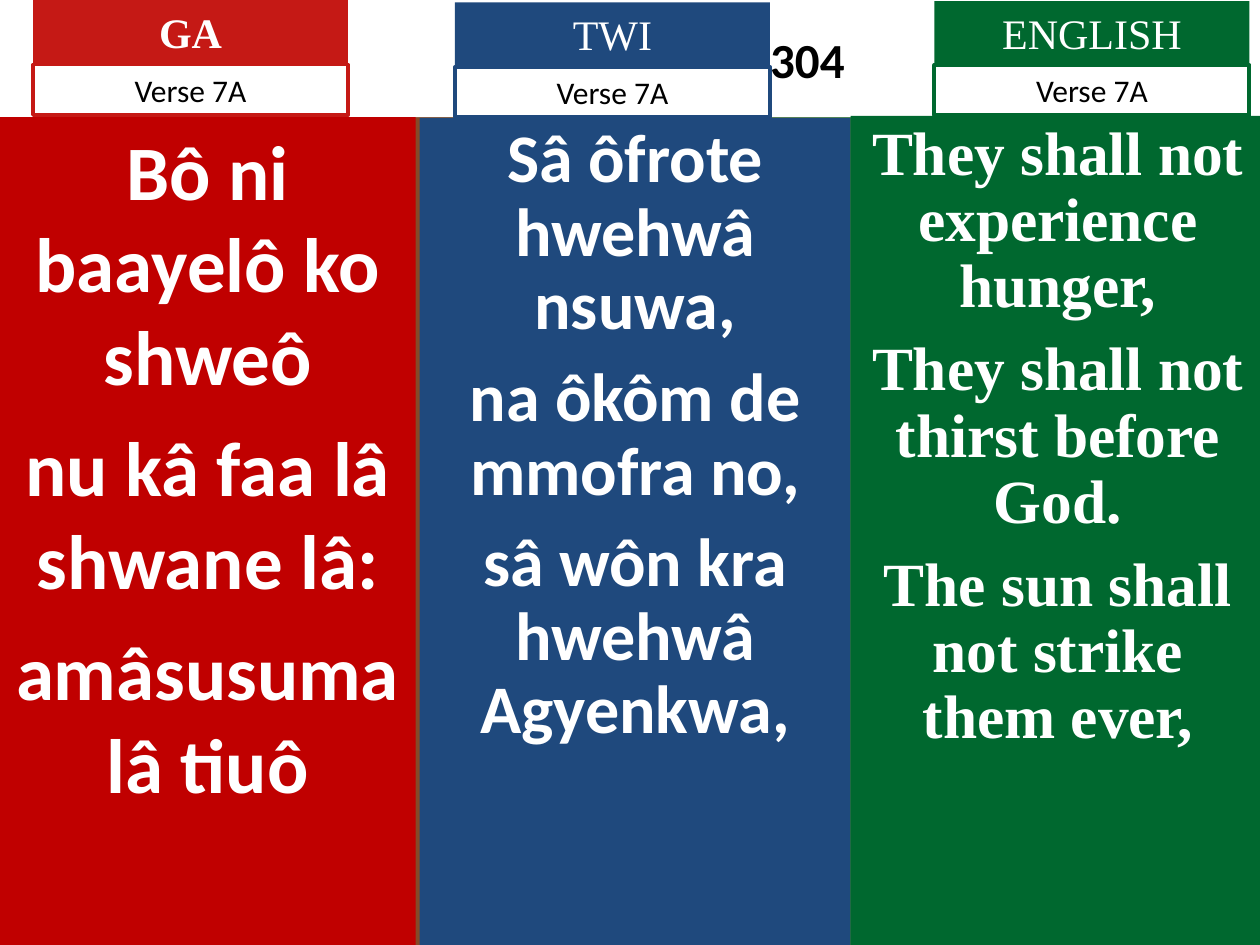
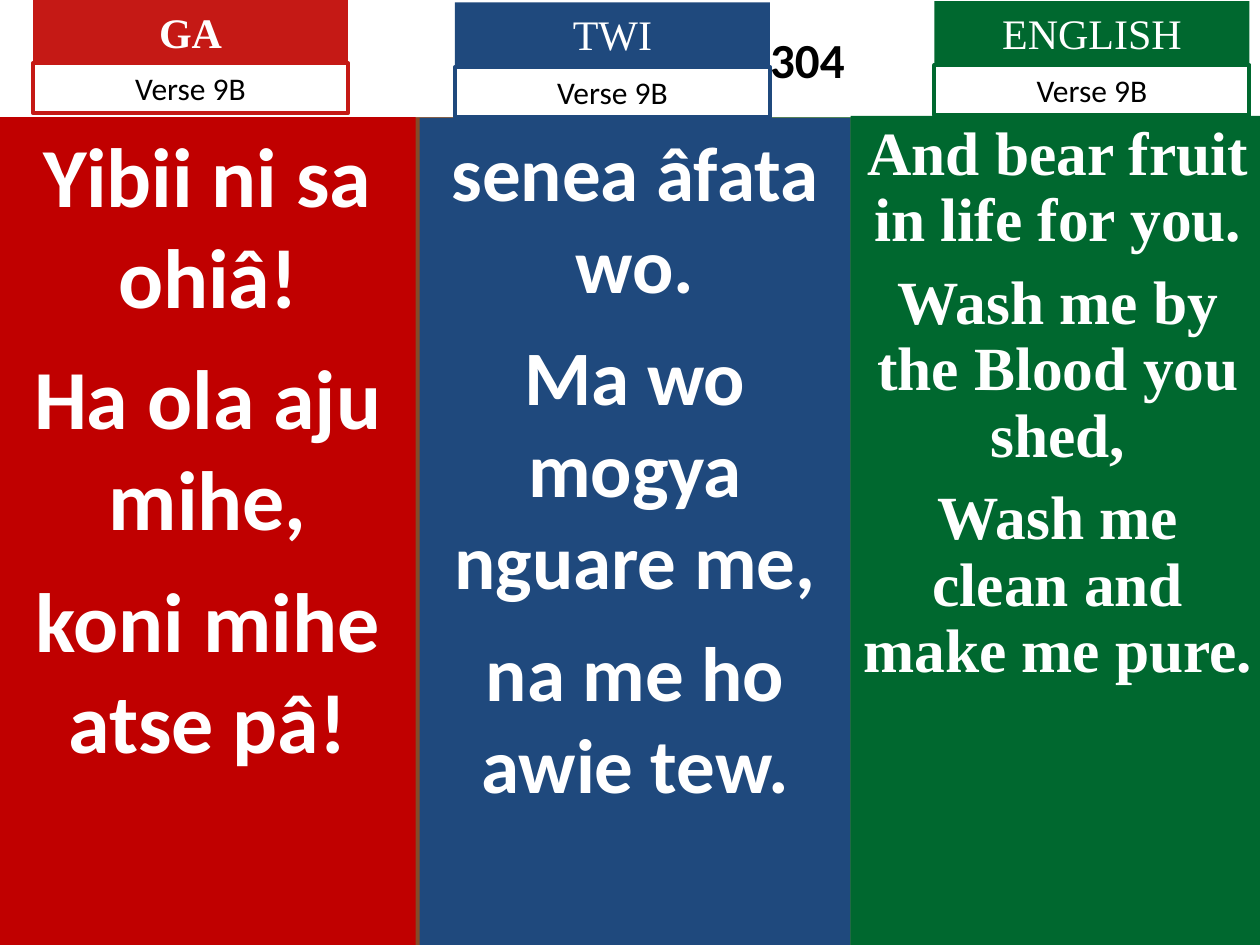
from collections import namedtuple

from pptx import Presentation
from pptx.dml.color import RGBColor
from pptx.enum.shapes import MSO_SHAPE
from pptx.enum.text import MSO_ANCHOR, MSO_AUTO_SIZE, PP_ALIGN
from pptx.util import Pt

RECTANGLE = MSO_SHAPE.RECTANGLE
TOP, MIDDLE = MSO_ANCHOR.TOP, MSO_ANCHOR.MIDDLE
CENTER = PP_ALIGN.CENTER
NO_AUTOFIT = MSO_AUTO_SIZE.NONE

PAGE_WIDTH, PAGE_HEIGHT = 720, 540
TITLE_ONLY = 5
SANS, SERIF = "Calibri", "Times New Roman"
WHITE, BLACK = "FFFFFF", "000000"
RED, GREEN = "C51915", "00B050"
TAB_WIDTH, TAB_HEIGHT, VERSE_HEIGHT = 180, 36, 28.8

Column = namedtuple(
    "Column", "language panel_left panel_top panel_width panel_color "
              "tab_left tab_top tab_color tab_bold font")
Lyrics = namedtuple("Lyrics", "lines size before spacing verse_gap")

COLUMNS = [
    Column("GA", 0, 67, 237.6, "C00000", 18.9, 0, RED, True, SANS),
    Column("TWI", 239.8, 67.4, 246.2, "1F497D", 260, 1.4, "1F497D", False, SANS),
    Column("ENGLISH", 486, 66.2, 236.9, "00682F", 534, 0.7, "00682F", False, SERIF),
]

HYMN_NUMBER = "304"
VERSES = {
    "Verse 7A": [
        Lyrics(["Bô ni baayelô ko shweô", "nu kâ faa lâ shwane lâ:",
                "amâsusuma lâ tiuô"], 44, 11, 1, 36.9),
        Lyrics(["Sâ ôfrote hwehwâ nsuwa,", "na ôkôm de mmofra no,",
                "sâ wôn kra hwehwâ Agyenkwa,"], 38.9, 10.5, 0.9, 36.9),
        Lyrics(["They shall not experience hunger,",
                "They shall not thirst before God.",
                "The sun shall not strike them ever,"], 35.1, 9.5, 0.9, 36.5),
    ],
    "Verse 9B": [
        Lyrics(["Yibii ni sa ohiâ!", "Ha ola aju mihe,",
                "koni mihe atse pâ!"], 48, 12, 1, 36),
        Lyrics(["senea âfata wo.", "Ma wo mogya nguare me,",
                "na me ho awie tew."], 44, 11, 1, 36.9),
        Lyrics(["And bear fruit in life for you.",
                "Wash me by the Blood you shed,",
                "Wash me clean and make me pure."], 35.1, 9.5, 0.9, 36.5),
    ],
}


def rgb(value):
    return RGBColor.from_string(value)


def write(box, lines, font=SANS, size=18, color=BLACK, bold=False,
          before=0, spacing=1, anchor=TOP, inset=7.2):
    frame = box.text_frame
    frame.word_wrap = True
    frame.auto_size = NO_AUTOFIT
    frame.vertical_anchor = anchor
    frame.margin_left, frame.margin_right = Pt(inset), Pt(7.2)
    frame.margin_top = frame.margin_bottom = Pt(3.6)
    for index, line in enumerate(lines):
        para = frame.add_paragraph() if index else frame.paragraphs[0]
        para.alignment = CENTER
        para.space_before = Pt(before if index else 0)
        para.line_spacing = spacing
        span = para.add_run()
        span.text = line
        span.font.name = font
        span.font.size = Pt(size)
        span.font.bold = bold
        span.font.color.rgb = rgb(color)


class HymnDeck:
    """Builds hymn pages with one column for each language."""

    def __init__(self):
        self.deck = Presentation()
        self.deck.slide_width = Pt(PAGE_WIDTH)
        self.deck.slide_height = Pt(PAGE_HEIGHT)
        self.page = None

    def add_page(self):
        self.page = self.deck.slides.add_slide(self.deck.slide_layouts[TITLE_ONLY])
        fill = self.page.background.fill
        fill.gradient()
        fill.gradient_angle = 0
        for stop, position, color in zip(fill.gradient_stops, (0, 1), (RED, GREEN)):
            stop.position = position
            stop.color.rgb = rgb(color)

    def title(self, text):
        box = self.page.shapes.title
        box.left, box.top = Pt(0), Pt(0)
        box.width, box.height = Pt(PAGE_WIDTH), Pt(67)
        box.fill.solid()
        box.fill.fore_color.rgb = rgb(WHITE)
        write(box, [text], size=28, bold=True, anchor=MIDDLE, inset=210)

    def rectangle(self, left, top, width, height, fill=None, line=None):
        box = self.page.shapes.add_shape(
            RECTANGLE, Pt(left), Pt(top), Pt(width), Pt(height))
        box.shadow.inherit = False
        if fill:
            box.fill.solid()
            box.fill.fore_color.rgb = rgb(fill)
        else:
            box.fill.background()
        if line:
            box.line.color.rgb = rgb(line)
            box.line.width = Pt(2.25)
        else:
            box.line.fill.background()
        return box

    def panel(self, column, lyrics):
        box = self.rectangle(column.panel_left, column.panel_top, column.panel_width,
                             PAGE_HEIGHT - column.panel_top, fill=column.panel_color)
        write(box, lyrics.lines, font=column.font, size=lyrics.size, color=WHITE,
              bold=True, before=lyrics.before, spacing=lyrics.spacing)

    def language_tab(self, column):
        box = self.rectangle(column.tab_left, column.tab_top, TAB_WIDTH, TAB_HEIGHT,
                             fill=column.tab_color)
        write(box, [column.language], font=SERIF, size=24, color=WHITE,
              bold=column.tab_bold)

    def verse_label(self, column, verse, gap):
        box = self.rectangle(column.tab_left, column.tab_top + gap, TAB_WIDTH,
                             VERSE_HEIGHT, line=column.tab_color)
        write(box, [verse])

    def save(self):
        self.deck.save("out.pptx")


def main():
    hymn = HymnDeck()
    for verse, translations in VERSES.items():
        hymn.add_page()
        hymn.title(HYMN_NUMBER)
        for column, lyrics in zip(COLUMNS, translations):
            hymn.panel(column, lyrics)
            hymn.language_tab(column)
            hymn.verse_label(column, verse, lyrics.verse_gap)
    hymn.save()


if __name__ == "__main__":
    main()
